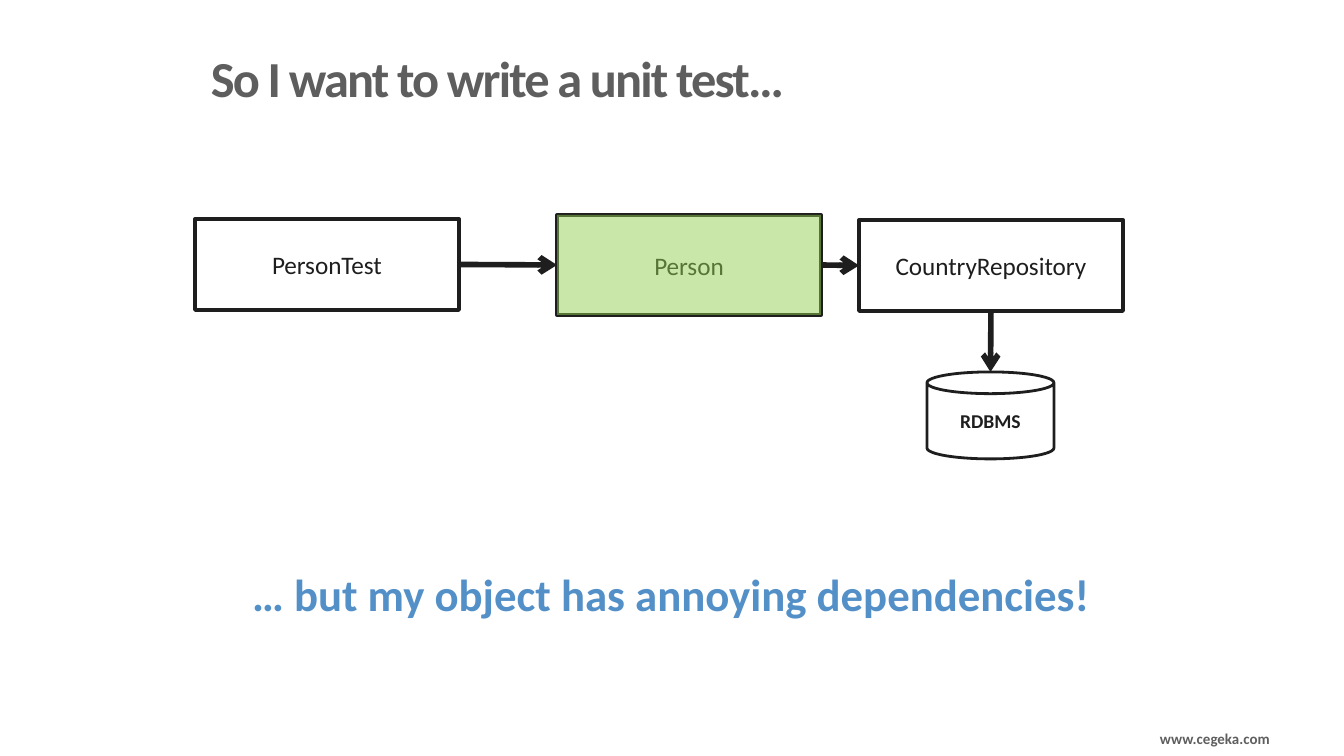
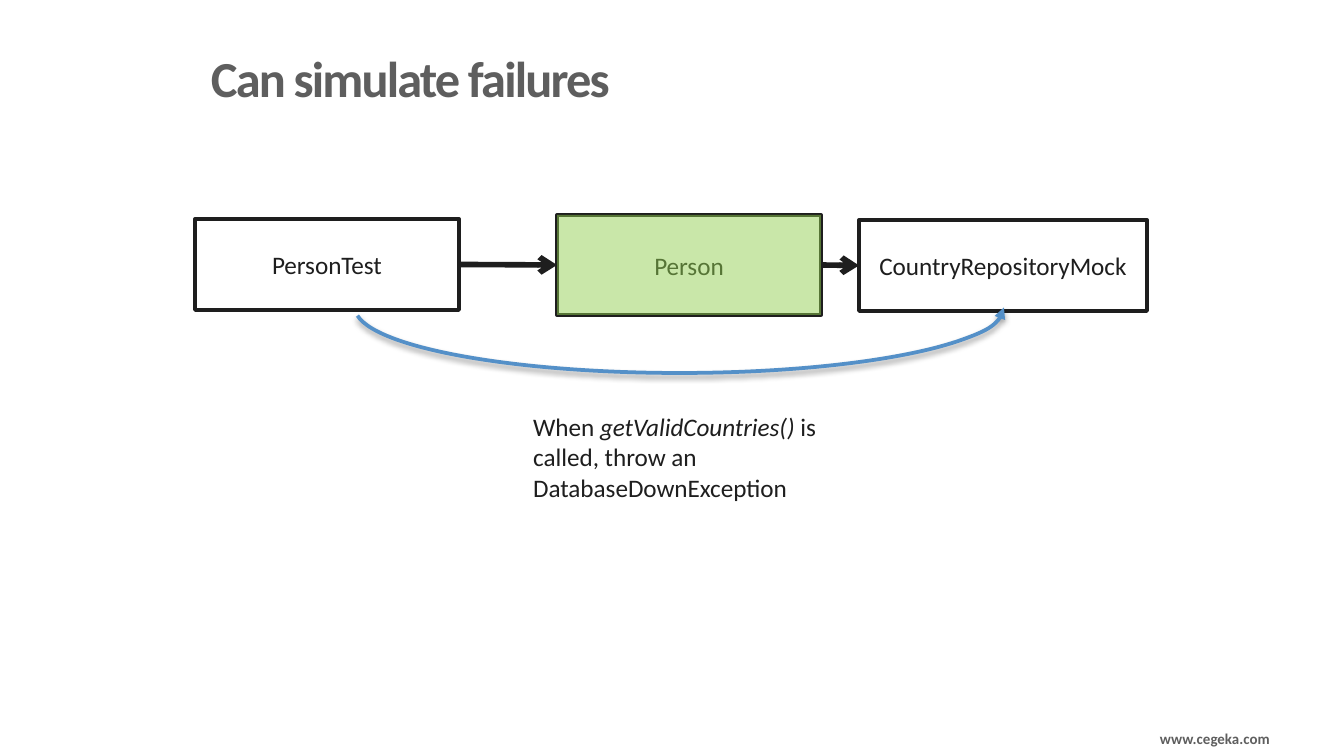
from lxml import etree
from pptx import Presentation
from pptx import util as u
from pptx.dml.color import RGBColor
from pptx.enum import shapes, text
from pptx.oxml import ns

SCALE = u.Inches(1) / 134.4
FONT = "Calibri"
COLORS = {
    "white": "FFFFFF",
    "ink": "1E1E1E",
    "gray": "5E5E5E",
    "blue": "5490C8",
    "green": "92D050",
    "shadow": "000000",
}
TOP, LEFT, BOTTOM, RIGHT = range(4)


def px(length):
    """Turn pixels into EMU."""
    return u.Emu(round(length * SCALE))


def color(name):
    """Look up a colour by name."""
    return RGBColor.from_string(COLORS[name])


def add_xml(parent, tag, **attributes):
    """Append a DrawingML element and return it."""
    return etree.SubElement(parent, ns.qn(f"a:{tag}"), attributes)


def write_text(shape, content, size=13.5, ink="ink", bold=False, align="LEFT",
               anchor="MIDDLE", margins=None, wrap=True, line_spacing=None, tracking=None):
    """Write one paragraph, with the parts between asterisks in italics."""
    frame = shape.text_frame
    frame.word_wrap = wrap
    frame.vertical_anchor = text.MSO_ANCHOR[anchor]
    if margins is not None:
        frame.margin_left = frame.margin_right = px(margins[0])
        frame.margin_top = frame.margin_bottom = px(margins[1])
    paragraph = frame.paragraphs[0]
    paragraph.alignment = text.PP_ALIGN[align]
    if line_spacing:
        paragraph.line_spacing = line_spacing
    for index, part in enumerate(content.split("*")):
        run = paragraph.add_run()
        run.text = part
        run.font.name = FONT
        run.font.size = u.Pt(size)
        run.font.bold = bold
        run.font.italic = index % 2 == 1
        run.font.color.rgb = color(ink)
        if tracking:
            run.font._element.set("spc", str(tracking * 100))


def add_text(slide, box, content, **style):
    """Add a text box."""
    write_text(slide.shapes.add_textbox(*map(px, box)), content, **style)


def add_shape(slide, kind, box, fill=None, line=None, width=2):
    """Add a preset shape without shadow."""
    shape = slide.shapes.add_shape(shapes.MSO_SHAPE[kind], *map(px, box))
    shape.shadow.inherit = False
    if fill:
        shape.fill.solid()
        shape.fill.fore_color.rgb = color(fill)
    else:
        shape.fill.background()
    if line:
        shape.line.color.rgb = color(line)
        shape.line.width = u.Pt(width)
    else:
        shape.line.fill.background()
    return shape


def add_class_box(slide, box, name):
    """Add an outlined box with a class name."""
    shape = add_shape(slide, "RECTANGLE", box, "white", "ink")
    write_text(shape, name, align="CENTER")
    return shape


def add_arrow(slide, source, source_site, target, target_site):
    """Join two boxes with an arrow."""
    connector = slide.shapes.add_connector(shapes.MSO_CONNECTOR.STRAIGHT, 0, 0, 0, 0)
    connector.begin_connect(source, source_site)
    connector.end_connect(target, target_site)
    style_arrow(connector)


def style_arrow(connector):
    """Give a connector its line and arrowhead."""
    connector.line.color.rgb = color("ink")
    connector.line.width = u.Pt(3)
    add_xml(connector.line._get_or_add_ln(), "tailEnd", type="arrow")
    add_xml(connector._element.spPr, "effectLst")


def add_highlight(slide, box):
    """Lay a translucent green sheet over a box."""
    sheet = add_shape(slide, "RECTANGLE", box, "green")
    rgb = sheet._element.spPr.find(f".//{ns.qn('a:srgbClr')}")
    add_xml(rgb, "alpha", val="49000")


def add_database(slide, repository):
    """Add the database can and the arrow leading down to it."""
    can = add_shape(slide, "CAN", (927, 372, 127, 87), "white", "ink", 1.5)
    can.adjustments[0] = 0.25
    write_text(can, "RDBMS", size=10.5, bold=True, align="CENTER", wrap=False)
    middle = can.left + can.width // 2
    connector = slide.shapes.add_connector(
        shapes.MSO_CONNECTOR.STRAIGHT, middle, can.top, middle, can.top)
    connector.begin_connect(repository, BOTTOM)
    style_arrow(connector)


def add_curved_arrow(slide, box):
    """Add an arc that sags below the boxes and ends in an arrowhead."""
    arc = add_shape(slide, "ARC", box, line="blue")
    arc.adjustments[0] = 108.87
    arc.adjustments[1] = 0
    properties = arc._element.spPr
    properties.find(ns.qn("a:xfrm")).set("flipV", "1")
    add_xml(arc.line._get_or_add_ln(), "tailEnd", type="triangle")
    shadow = add_xml(properties.find(ns.qn("a:effectLst")), "outerShdw",
                     blurRad=str(u.Pt(3.1)), dist=str(u.Pt(1.6)),
                     dir="5400000", rotWithShape="0")
    rgb = add_xml(shadow, "srgbClr", val=COLORS["shadow"])
    add_xml(rgb, "alpha", val="38000")


def add_slide(presentation, title):
    """Add a blank slide with footer and title."""
    slide = presentation.slides.add_slide(presentation.slide_layouts[6])
    add_text(slide, (915, 730, 355, 17), "www.cegeka.com", size=8, ink="gray",
             bold=True, align="RIGHT", anchor="TOP", margins=(0, 0))
    add_text(slide, (211, 0, 1055, 108), title, size=27, ink="gray", bold=True,
             anchor="BOTTOM", margins=(0, 0), line_spacing=0.9, tracking=-1)
    return slide


def add_class_chain(slide, repository_name, repository_width):
    """Draw test, person and repository in a row and return the repository."""
    person_box = (557, 215, 264, 100)
    person = add_class_box(slide, person_box, "Person")
    repository = add_class_box(slide, (859, 220, repository_width, 91), repository_name)
    add_arrow(slide, person, RIGHT, repository, LEFT)
    add_highlight(slide, person_box)
    test = add_class_box(slide, (195, 219, 264, 91), "PersonTest")
    add_arrow(slide, test, RIGHT, person, LEFT)
    return repository


def main():
    """Build and save the slides."""
    presentation = Presentation()
    presentation.slide_width, presentation.slide_height = px(1344), px(756)

    slide = add_slide(presentation, "So I want to write a unit test…")
    repository = add_class_chain(slide, "CountryRepository", 264)
    add_database(slide, repository)
    add_text(slide, (242, 545, 934, 98), "… but my object has annoying dependencies!",
             size=24, ink="blue", bold=True, margins=(10, 5))

    slide = add_slide(presentation, "Can simulate failures")
    add_class_chain(slide, "CountryRepositoryMock", 288)
    add_text(slide, (520, 405, 337, 130),
             "When *getValidCountries()* is called, throw an DatabaseDownException",
             anchor="TOP")
    add_curved_arrow(slide, (355, 242, 649, 131))

    presentation.save("out.pptx")


if __name__ == "__main__":
    main()
